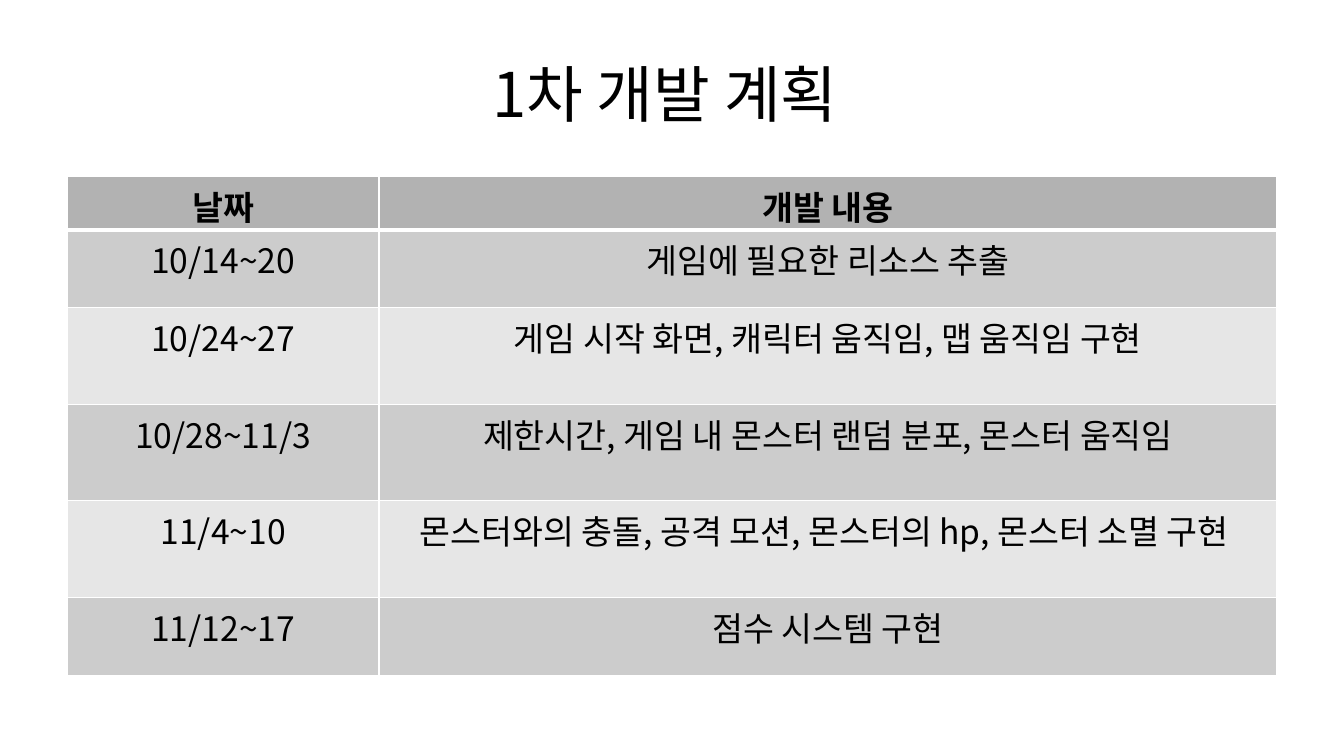
from lxml.etree import SubElement
from pptx import Presentation
from pptx.dml.color import RGBColor
from pptx.enum.text import MSO_ANCHOR, PP_ALIGN
from pptx.oxml.ns import qn
from pptx.util import Inches, Pt

COLORS = {
    "text": "000000",
    "border": "FFFFFF",
    "header": "B2B2B2",
    "odd": "CCCCCC",
    "even": "E6E6E6",
}
FONT = "Noto Sans CJK KR"
GRID_COLUMNS, GRID_ROWS = 20, 30

PLAN = [
    ("날짜", "개발 내용"),
    ("10/14~20", "게임에 필요한 리소스 추출"),
    ("10/24~27", "게임 시작 화면, 캐릭터 움직임, 맵 움직임 구현"),
    ("10/28~11/3", "제한시간, 게임 내 몬스터 랜덤 분포, 몬스터 움직임"),
    ("11/4~10", "몬스터와의 충돌, 공격 모션, 몬스터의 hp, 몬스터 소멸 구현 "),
    ("11/12~17", "점수 시스템 구현"),
]
PLAN_COLUMNS = [4.64, 13.36]
PLAN_ROWS = [2.12, 3.08, 3.84, 3.84, 3.84, 3.08]


class SlideBuilder:
    """Places styled elements on a grid of slide columns and rows."""

    def __init__(self, deck):
        self.slide = deck.slides.add_slide(deck.slide_layouts[6])
        self.column = deck.slide_width / GRID_COLUMNS
        self.row = deck.slide_height / GRID_ROWS

    def area(self, left, top, width, height):
        """Turn grid units into slide lengths."""
        return (int(left * self.column), int(top * self.row),
                int(width * self.column), int(height * self.row))

    def add_text(self, frame, text, size, bold=False):
        para = frame.paragraphs[0]
        para.alignment = PP_ALIGN.CENTER
        span = para.add_run()
        span.text = text
        span.font.name = FONT
        span.font.size = Pt(size)
        span.font.bold = bold
        span.font.color.rgb = RGBColor.from_string(COLORS["text"])
        SubElement(span.font._element, qn("a:ea"), typeface=FONT)

    def title(self, text, *place):
        box = self.slide.shapes.add_textbox(*self.area(*place))
        frame = box.text_frame
        frame.word_wrap = True
        frame.vertical_anchor = MSO_ANCHOR.MIDDLE
        self.add_text(frame, text, 44)

    def border(self, cell, side, points):
        properties = cell._tc.get_or_add_tcPr()
        line = SubElement(properties, qn(f"a:ln{side}"), w=str(Pt(points)))
        fill = SubElement(line, qn("a:solidFill"))
        SubElement(fill, qn("a:srgbClr"), val=COLORS["border"])

    def table(self, values, widths, heights, left, top):
        place = self.area(left, top, sum(widths), sum(heights))
        table = self.slide.shapes.add_table(len(heights), len(widths), *place).table
        for column, width in zip(table.columns, widths):
            column.width = int(width * self.column)
        for index, (row, height) in enumerate(zip(table.rows, heights)):
            row.height = int(height * self.row)
            band = "header" if index == 0 else "odd" if index % 2 else "even"
            thickness = {"L": 1, "R": 1, "T": 3 if index == 1 else 1,
                         "B": 3 if index == 0 else 1}
            for cell, text in zip(row.cells, values[index]):
                for side, points in thickness.items():
                    self.border(cell, side, points)
                cell.fill.solid()
                cell.fill.fore_color.rgb = RGBColor.from_string(COLORS[band])
                self.add_text(cell.text_frame, text, 24, bold=index == 0)


def main():
    deck = Presentation()
    deck.slide_width, deck.slide_height = Inches(13.33), Inches(7.5)
    page = SlideBuilder(deck)
    page.title("1차 개발 계획 ", 1, 1.2, 18, 5)
    page.table(PLAN, PLAN_COLUMNS, PLAN_ROWS, 1, 7)
    deck.save("out.pptx")


if __name__ == "__main__":
    main()
